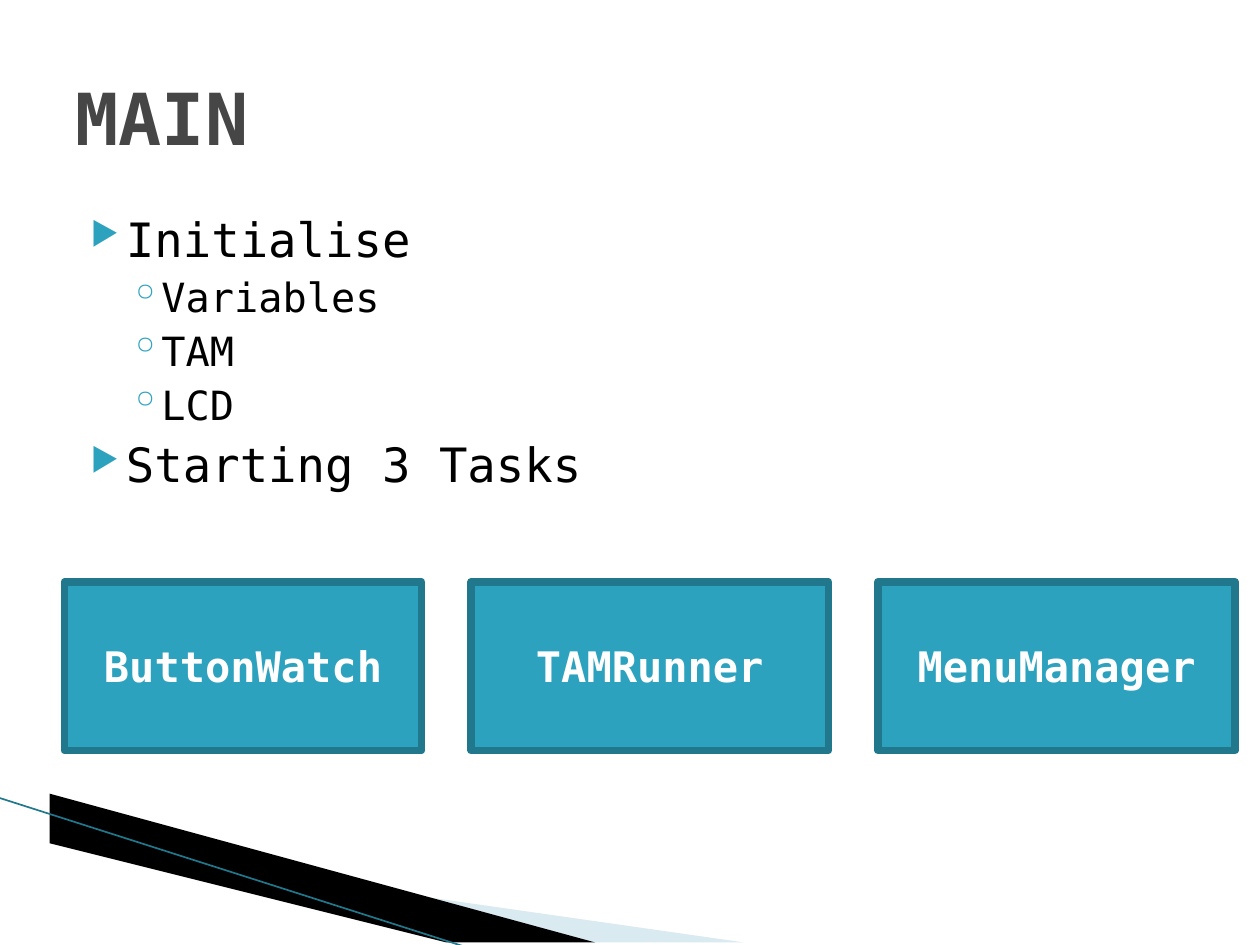
"""Build the MAIN slide: initialisation steps and the three tasks it starts."""
import lxml.etree
import pptx
import pptx.dml.color
import pptx.enum.shapes
import pptx.enum.text
import pptx.oxml.ns
import pptx.util

Cm = pptx.util.Cm
Pt = pptx.util.Pt
qn = pptx.oxml.ns.qn
COLORS = {
    "accent": "2DA2BF",
    "edge": "21788D",
    "pale": "A0CBDC",
    "title": "464646",
    "black": "000000",
    "white": "FFFFFF",
}
BULLETS = [
    {"char": "\u25b6", "scale": 68, "margin": 1.02, "hang": 0.71, "size": 27, "before": 4},
    {"char": "\u25e6", "scale": 100, "margin": 1.73, "hang": 0.64, "size": 23, "before": 3.2},
]


class SlideBuilder:
    """Hold the style and the current slide."""

    def __init__(self, slide, font):
        self.slide = slide
        self.font = font

    def rgb(self, color):
        return pptx.dml.color.RGBColor.from_string(COLORS[color])

    def style(self, paragraph, size, color, bold=False):
        paragraph.font.name = self.font
        paragraph.font.size = Pt(size)
        paragraph.font.bold = bold
        paragraph.font.color.rgb = self.rgb(color)

    def title(self, text, left, top, width, height):
        title = self.slide.shapes.title
        title.left, title.top, title.width, title.height = map(Cm, (left, top, width, height))
        frame = title.text_frame
        frame.text = text
        frame.vertical_anchor = pptx.enum.text.MSO_ANCHOR.MIDDLE
        paragraph = frame.paragraphs[0]
        paragraph.alignment = pptx.enum.text.PP_ALIGN.LEFT
        self.style(paragraph, 41, "title", True)

    def outline(self, points, color, opacity=100):
        builder = self.slide.shapes.build_freeform(*points[0], scale=Cm(1))
        builder.add_line_segments(points[1:])
        wedge = builder.convert_to_shape()
        wedge.shadow.inherit = False
        wedge.line.fill.background()
        wedge.fill.solid()
        wedge.fill.fore_color.rgb = self.rgb(color)
        if opacity < 100:
            tint = wedge.fill._xPr.find(".//" + qn("a:srgbClr"))
            lxml.etree.SubElement(tint, qn("a:alpha"), val=str(opacity * 1000))

    def line(self, start, end, color, width):
        line = self.slide.shapes.add_connector(
            pptx.enum.shapes.MSO_CONNECTOR.STRAIGHT, *map(Cm, start + end))
        line.line.color.rgb = self.rgb(color)
        line.line.width = Pt(width)
        lxml.etree.SubElement(line._element.spPr, qn("a:effectLst"))

    def bullets(self, items, left, top, width, height):
        frame = self.slide.shapes.add_textbox(*map(Cm, (left, top, width, height))).text_frame
        frame.word_wrap = True
        for index, (level, text) in enumerate(items):
            paragraph = frame.add_paragraph() if index else frame.paragraphs[0]
            look = BULLETS[level]
            paragraph.text = text
            paragraph.level = level
            properties = paragraph._p.get_or_add_pPr()
            properties.set("marL", str(Cm(look["margin"])))
            properties.set("indent", str(-Cm(look["hang"])))
            tint = lxml.etree.SubElement(properties, qn("a:buClr"))
            lxml.etree.SubElement(tint, qn("a:srgbClr"), val=COLORS["accent"])
            lxml.etree.SubElement(properties, qn("a:buSzPct"), val=str(look["scale"] * 1000))
            lxml.etree.SubElement(properties, qn("a:buChar"), char=look["char"])
            paragraph.space_before = Pt(look["before"])
            self.style(paragraph, look["size"], "black")

    def box(self, text, left, top, width, height):
        box = self.slide.shapes.add_shape(
            pptx.enum.shapes.MSO_SHAPE.RECTANGLE, *map(Cm, (left, top, width, height)))
        box.shadow.inherit = False
        box.fill.solid()
        box.fill.fore_color.rgb = self.rgb("accent")
        box.line.color.rgb = self.rgb("edge")
        box.line.width = Pt(4.33)
        frame = box.text_frame
        frame.text = text
        frame.word_wrap = True
        frame.vertical_anchor = pptx.enum.text.MSO_ANCHOR.MIDDLE
        paragraph = frame.paragraphs[0]
        paragraph.alignment = pptx.enum.text.PP_ALIGN.CENTER
        self.style(paragraph, 24, "white", True)


presentation = pptx.Presentation()
presentation.slide_width = Cm(25.4)
presentation.slide_height = Cm(19.05)
main = SlideBuilder(
    presentation.slides.add_slide(presentation.slide_layouts.get_by_name("Title Only")),
    "DejaVu Sans Mono")

main.outline([(1.4, 16.54), (15.11, 19.08), (11.58, 19.08), (1.4, 16.51)], "pale", 40)
main.outline([(1.35, 16.48), (11.61, 19.08), (9.45, 19.1), (1.37, 16.51)], "black")
main.line((-0.03, 16.08), (9.42, 19.1), "edge", 0.95)

main.title("MAIN", 1.27, 0.76, 22.86, 3.18)
steps = [(0, "Initialise"), (1, "Variables"), (1, "TAM"), (1, "LCD"), (0, "Starting 3 Tasks")]
main.bullets(steps, 1.27, 4.11, 22.86, 12.57)

for column, task in enumerate(["ButtonWatch", "TAMRunner", "MenuManager"]):
    main.box(task, 1.3 + 8.2 * column, 11.73, 7.2, 3.4)

presentation.save("out.pptx")
